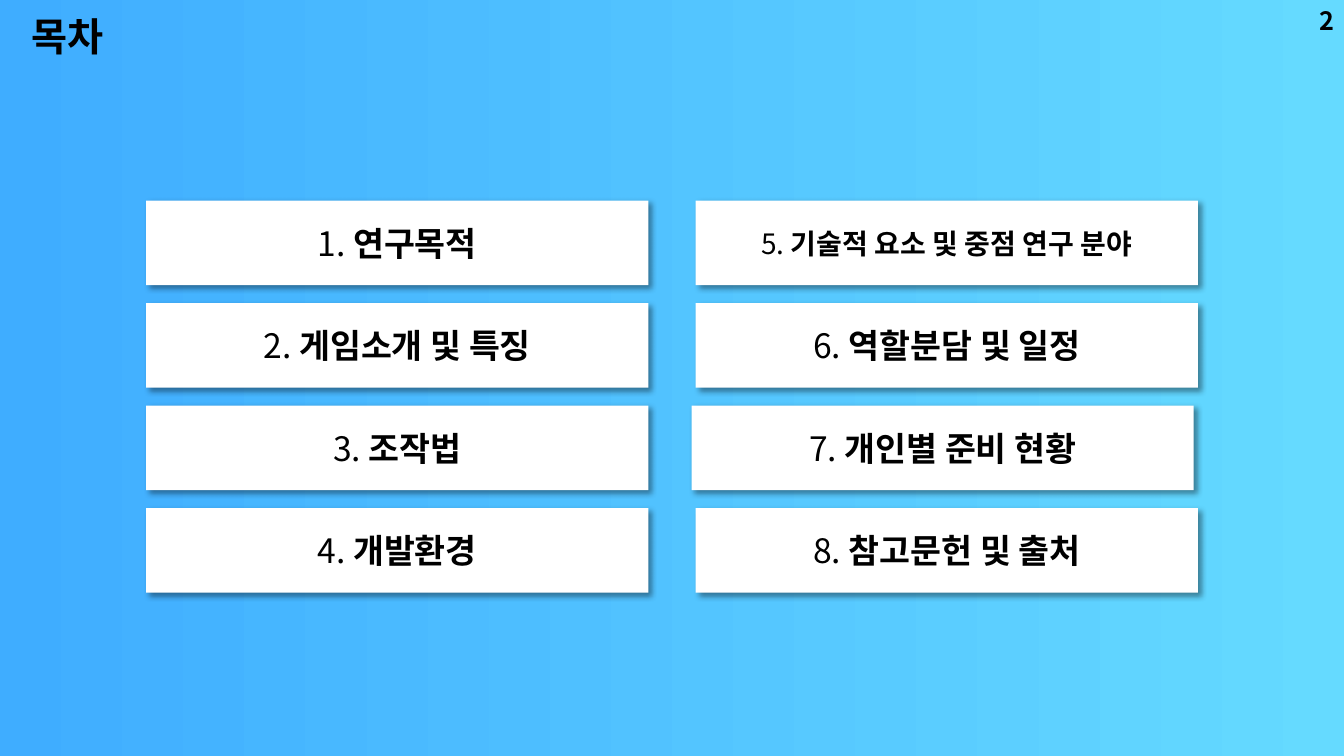
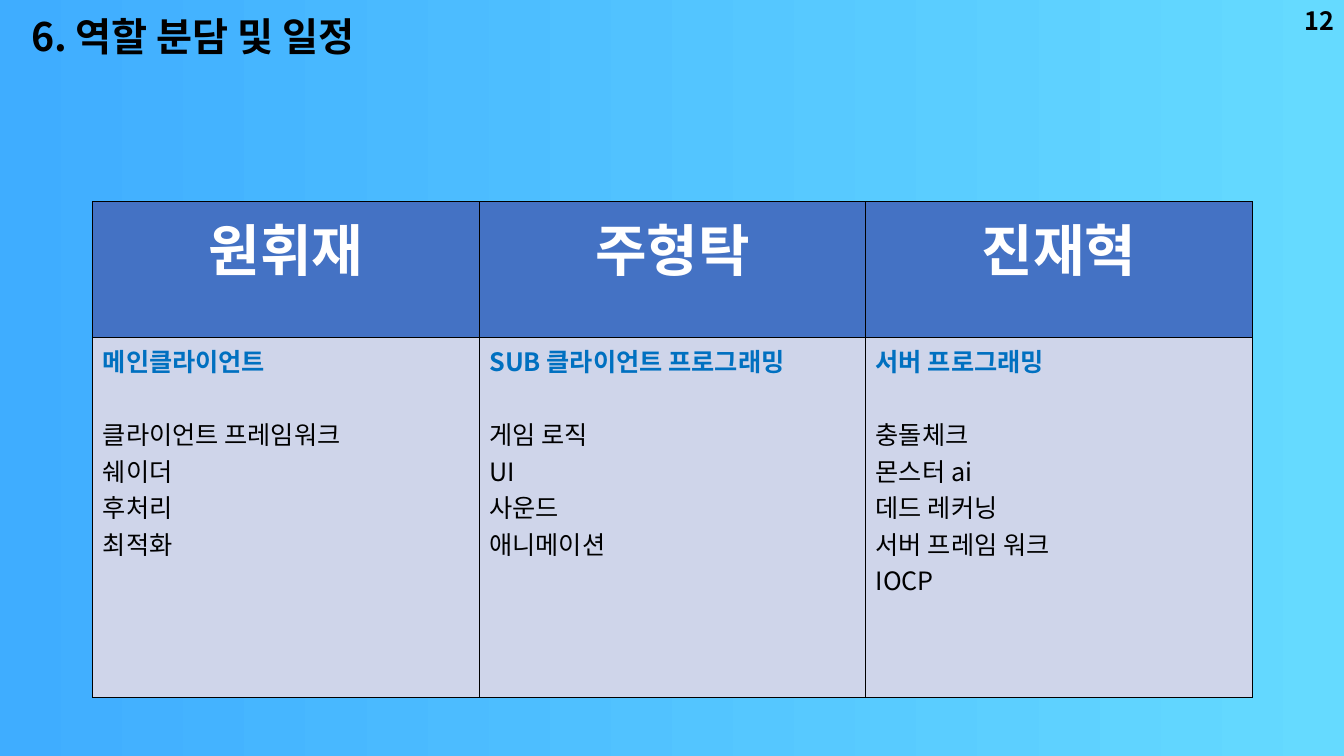
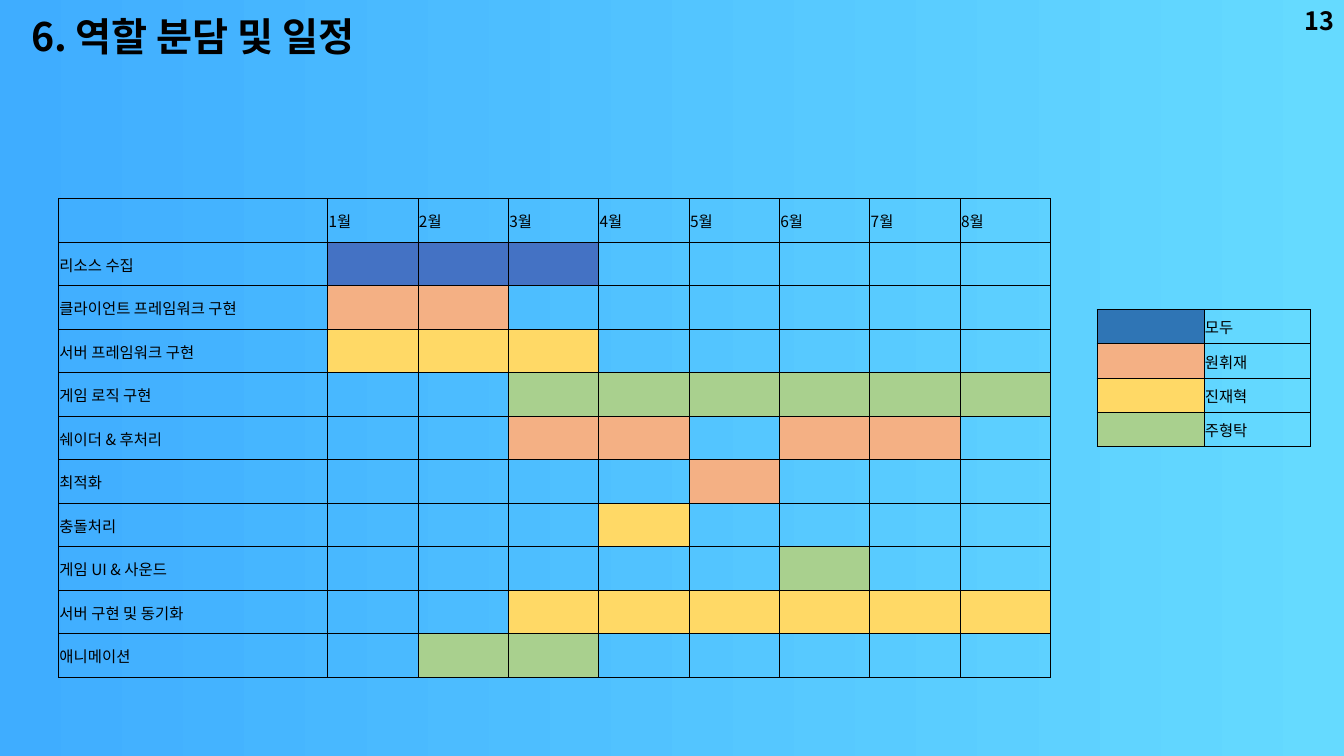
"""Builds the contents, roles and schedule slides of a game project deck."""
from dataclasses import dataclass

from lxml.etree import SubElement
from pptx import Presentation
from pptx.dml.color import RGBColor as Rgb
from pptx.enum.shapes import MSO_SHAPE as Shape
from pptx.enum.text import MSO_ANCHOR as Anchor, PP_ALIGN as Align
from pptx.oxml.ns import qn
from pptx.util import Inches, Pt


@dataclass(frozen=True)
class Theme:
    font: str = "Noto Sans CJK KR"
    sky: tuple = ("3FADFF", "65DAFF")
    black: str = "000000"
    white: str = "FFFFFF"
    header: str = "4472C4"
    body: str = "CFD5EA"
    role: str = "0070C0"
    title_size: int = 28
    number_size: int = 18
    card_size: int = 24
    long_card_size: int = 20
    name_size: int = 40
    role_size: int = 18
    schedule_size: int = 11


THEME = Theme()
WIDTH, HEIGHT = 13.33, 7.5
CONTENTS_TITLE = "목차"
ROLES_TITLE = "6. 역할 분담 및 일정"

CARD_AREA = (1.45, 1.99, 10.43, 3.89)
CARD_SIZE = (4.98, 0.84)
CARD_ROWS = 4
CARDS = [
    ("연구목적", THEME.card_size, 0),
    ("게임소개 및 특징", THEME.card_size, 0),
    ("조작법", THEME.card_size, 0),
    ("개발환경", THEME.card_size, 0),
    ("기술적 요소 및 중점 연구 분야", THEME.long_card_size, 0),
    ("역할분담 및 일정", THEME.card_size, 0),
    ("개인별 준비 현황", THEME.card_size, -0.04),
    ("참고문헌 및 출처", THEME.card_size, 0),
]

MEMBERS = [
    ("원휘재", "메인클라이언트", ["클라이언트 프레임워크", "쉐이더", "후처리", "최적화"]),
    ("주형탁", "SUB 클라이언트 프로그래밍", ["게임 로직", "UI", "사운드", "애니메이션"]),
    ("진재혁", "서버 프로그래밍",
     ["충돌체크", "몬스터 ai", "데드 레커닝", "서버 프레임 워크", "IOCP"]),
]

MONTHS = range(1, 9)
OWNER_COLORS = {"모두": "4472C4", "원휘재": "F4B084", "진재혁": "FFD966", "주형탁": "A9D08E"}
LEGEND_COLORS = OWNER_COLORS | {"모두": "2F75B5"}
TASKS = [
    ("리소스 수집", "모두", (1, 2, 3)),
    ("클라이언트 프레임워크 구현", "원휘재", (1, 2)),
    ("서버 프레임워크 구현", "진재혁", (1, 2, 3)),
    ("게임 로직 구현", "주형탁", (3, 4, 5, 6, 7, 8)),
    ("쉐이더 & 후처리", "원휘재", (3, 4, 6, 7)),
    ("최적화", "원휘재", (5,)),
    ("충돌처리", "진재혁", (4,)),
    ("게임 UI & 사운드", "주형탁", (6,)),
    ("서버 구현 및 동기화", "진재혁", (3, 4, 5, 6, 7, 8)),
    ("애니메이션", "주형탁", (2, 3)),
]


def set_font(paragraph, size, color=THEME.black, bold=None, align=None):
    font = paragraph.font
    font.size, font.bold = Pt(size), bold
    font.color.rgb = Rgb.from_string(color)
    font.name = THEME.font
    SubElement(font._rPr, qn("a:ea"), typeface=THEME.font)
    paragraph.alignment = align


def add_text(slide, box, text, size, align=None, anchor=Anchor.TOP):
    frame = slide.shapes.add_textbox(*map(Inches, box)).text_frame
    frame.word_wrap, frame.vertical_anchor = True, anchor
    frame.text = text
    set_font(frame.paragraphs[0], size, bold=True, align=align)


def add_slide(presentation, title, number):
    slide = presentation.slides.add_slide(presentation.slide_layouts[6])
    add_text(slide, (0.21, 0.07, 5.29, 0.57), title, THEME.title_size)
    add_text(slide, (WIDTH - 3, 0, 3, 0.4), str(number), THEME.number_size,
             Align.RIGHT, Anchor.MIDDLE)
    return slide


def add_card(slide, left, top, number, label, size):
    card = slide.shapes.add_shape(Shape.RECTANGLE, *map(Inches, (left, top, *CARD_SIZE)))
    card.fill.solid()
    card.fill.fore_color.rgb = Rgb.from_string(THEME.white)
    card.line.fill.background()
    card.shadow.inherit = False
    effects = card._element.spPr.find(qn("a:effectLst"))
    shadow = SubElement(effects, qn("a:outerShdw"), blurRad=str(Pt(4)), dist=str(Pt(3)),
                        dir="2700000", algn="tl", rotWithShape="0")
    color = SubElement(shadow, qn("a:srgbClr"), val=THEME.black)
    SubElement(color, qn("a:alpha"), val="40000")
    card.text_frame.vertical_anchor = Anchor.MIDDLE
    paragraph = card.text_frame.paragraphs[0]
    set_font(paragraph, size, align=Align.CENTER)
    paragraph.add_run().text = f"{number}. "
    name = paragraph.add_run()
    name.text, name.font.bold = label, True


def add_grid(slide, left, top, columns, rows, border):
    frame = slide.shapes.add_table(len(rows), len(columns), Inches(left), Inches(top),
                                   Inches(sum(columns)), Inches(sum(rows)))
    table = frame.table
    table.first_row = table.horz_banding = False
    for column, width in zip(table.columns, columns):
        column.width = Inches(width)
    for row, height in zip(table.rows, rows):
        row.height = Inches(height)
    for cell in table.iter_cells():
        properties = cell._tc.get_or_add_tcPr()
        for side in ("lnL", "lnR", "lnT", "lnB"):
            line = SubElement(properties, qn(f"a:{side}"), w=str(Pt(border)))
            SubElement(SubElement(line, qn("a:solidFill")), qn("a:srgbClr"), val=THEME.black)
    return table


def fill_cell(cell, color):
    if color:
        cell.fill.solid()
        cell.fill.fore_color.rgb = Rgb.from_string(color)
    else:
        cell.fill.background()


def add_schedule_grid(slide, left, top, columns, rows, content):
    table = add_grid(slide, left, top, columns, rows, 0.5)
    for cell, (text, color) in zip(table.iter_cells(), content):
        cell.margin_left = cell.margin_right = cell.margin_top = Inches(0.01)
        cell.margin_bottom = 0
        cell.vertical_anchor = Anchor.MIDDLE
        cell.text = text
        paragraph = cell.text_frame.paragraphs[0]
        set_font(paragraph, THEME.schedule_size)
        if not text:
            SubElement(paragraph._p, qn("a:endParaRPr"), sz=str(THEME.schedule_size * 100))
        fill_cell(cell, color)


def build_contents(presentation):
    slide = add_slide(presentation, CONTENTS_TITLE, 2)
    left, top, width, height = CARD_AREA
    column_step = width - CARD_SIZE[0]
    row_step = (height - CARD_SIZE[1]) / (CARD_ROWS - 1)
    for index, (label, size, shift) in enumerate(CARDS):
        column, row = divmod(index, CARD_ROWS)
        add_card(slide, left + column * column_step + shift, top + row * row_step,
                 index + 1, label, size)


def build_roles(presentation):
    slide = add_slide(presentation, ROLES_TITLE, 12)
    table = add_grid(slide, 0.92, 2, [11.5 / len(MEMBERS)] * len(MEMBERS), [1.35, 3.57], 1)
    for column, (name, role, duties) in enumerate(MEMBERS):
        header, body = table.cell(0, column), table.cell(1, column)
        header.text = name
        set_font(header.text_frame.paragraphs[0], THEME.name_size, THEME.white, True,
                 Align.CENTER)
        fill_cell(header, THEME.header)
        body.text = "\n".join([role, *duties])
        heading, *lines = body.text_frame.paragraphs
        set_font(heading, THEME.role_size, THEME.role, True)
        heading.space_after = Pt(26)
        for line in lines:
            set_font(line, THEME.role_size)
        fill_cell(body, THEME.body)


def build_schedule(presentation):
    slide = add_slide(presentation, ROLES_TITLE, 13)
    content = [("", None)] + [(f"{month}월", None) for month in MONTHS]
    for task, owner, active in TASKS:
        content.append((task, None))
        content += [("", OWNER_COLORS[owner] if month in active else None)
                    for month in MONTHS]
    row_count = len(TASKS) + 1
    add_schedule_grid(slide, 0.58, 1.97, [2.67] + [7.17 / len(MONTHS)] * len(MONTHS),
                      [4.75 / row_count] * row_count, content)
    legend = [cell for owner, color in LEGEND_COLORS.items()
              for cell in (("", color), (owner, None))]
    add_schedule_grid(slide, 10.88, 3.07, [1.06] * 2, [0.34] * len(LEGEND_COLORS), legend)


def main():
    presentation = Presentation()
    presentation.slide_width, presentation.slide_height = Inches(WIDTH), Inches(HEIGHT)
    background = presentation.slide_master.background.fill
    background.gradient()
    background.gradient_angle = 0
    for stop, color in zip(background.gradient_stops, THEME.sky):
        stop.color.rgb = Rgb.from_string(color)
    build_contents(presentation)
    build_roles(presentation)
    build_schedule(presentation)
    presentation.save("out.pptx")


if __name__ == "__main__":
    main()
